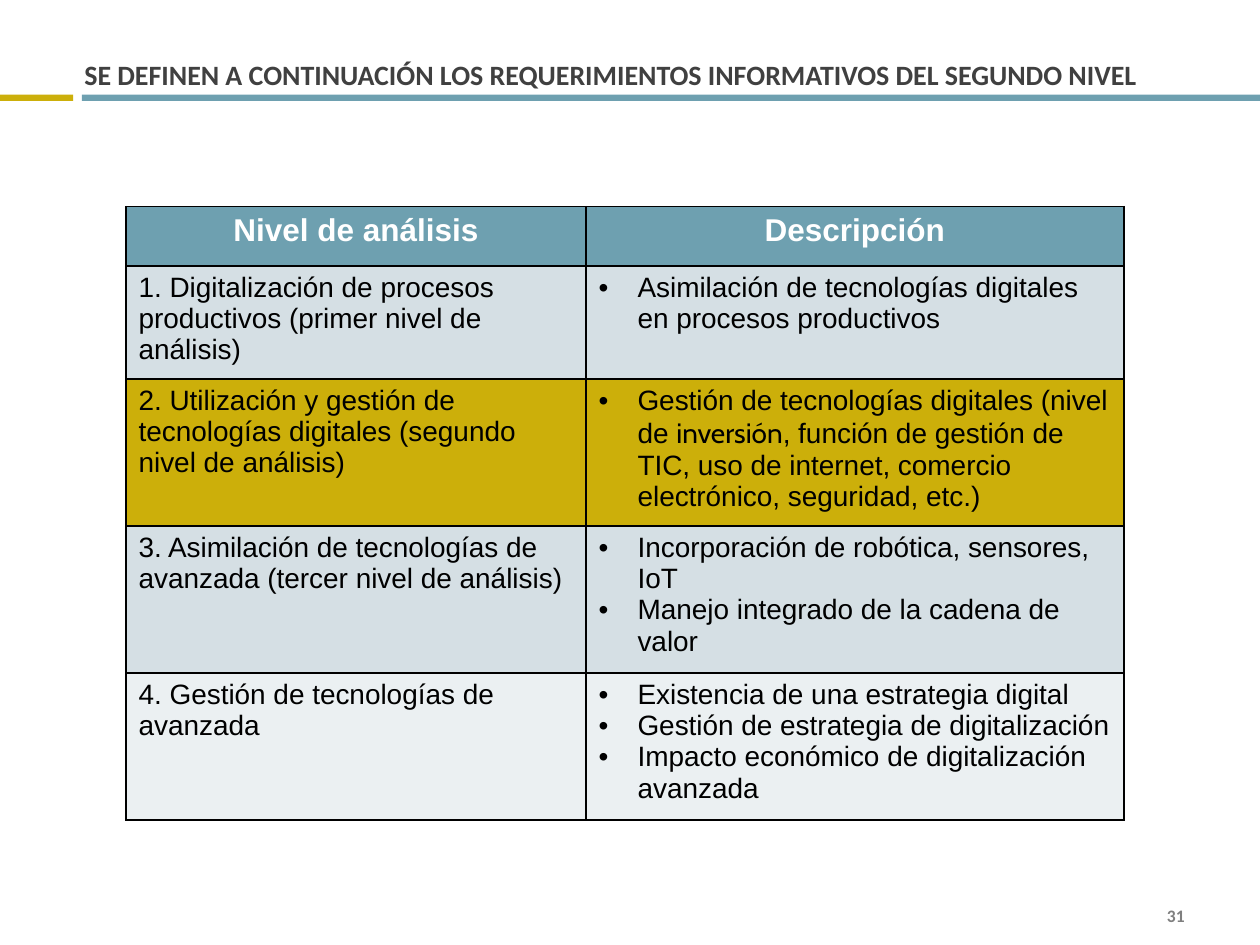
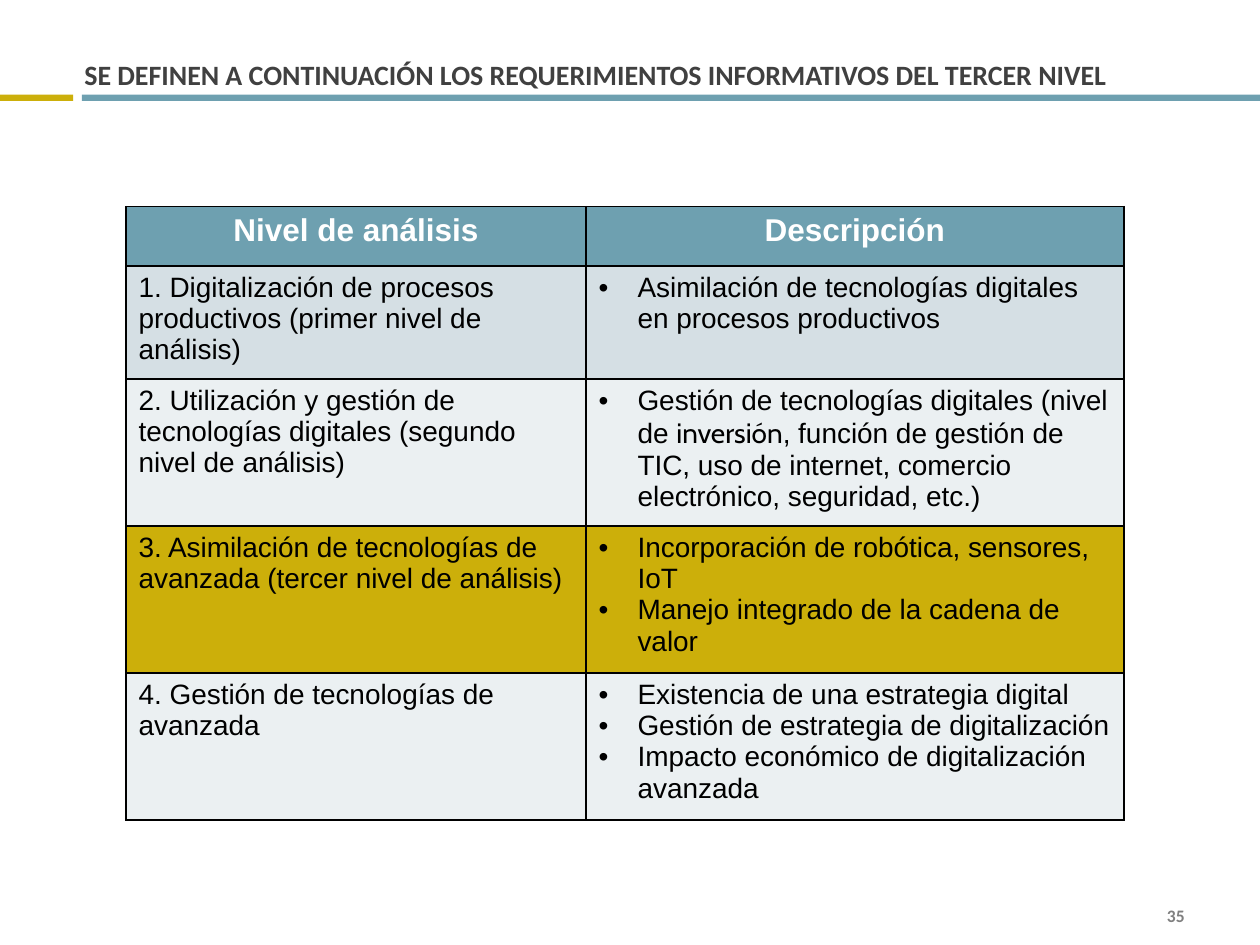
from lxml import etree
from pptx import Presentation
from pptx import util as u
from pptx.dml.color import RGBColor
from pptx.enum import shapes, text
from pptx.oxml import ns

GOLD = RGBColor(0xCC, 0xAF, 0x0A)
TEAL = RGBColor(0x6E, 0xA0, 0xB0)
MIST = RGBColor(0xD5, 0xDF, 0xE4)
PALE = RGBColor(0xEB, 0xF0, 0xF2)
DARK = RGBColor(0x40, 0x40, 0x40)
GREY = RGBColor(0x7F, 0x7F, 0x7F)
BLACK = RGBColor(0, 0, 0)
WHITE = RGBColor(0xFF, 0xFF, 0xFF)

deck = Presentation()
deck.slide_width, deck.slide_height = u.Inches(10), u.Inches(7.5)

# Grid of 100 columns by 75 rows
COL = deck.slide_width / 100
ROW = deck.slide_height / 75

# Text formats
TITLE = dict(name="Calibri", size=u.Pt(16), bold=True, color=DARK)
PAGE = dict(name="Calibri", size=u.Pt(10), bold=True, color=GREY)
HEAD = dict(name="Arial", size=u.Pt(18), bold=True, color=WHITE)
BODY = dict(name="Arial", size=u.Pt(16), bold=False, color=BLACK)
TERM = BODY | dict(name="Cabin")

# Frame formats
TOP = dict(word_wrap=True, vertical_anchor=text.MSO_ANCHOR.BOTTOM,
           margin_left=0, margin_right=0,
           margin_top=u.Inches(0.05), margin_bottom=u.Inches(0.03))
FOOT = dict(word_wrap=True, vertical_anchor=text.MSO_ANCHOR.MIDDLE)

# Shared content
BANDS = [(0, 5.8, GOLD), (6.5, 93.5, TEAL)]
WIDTHS = [36.5, 42.7]
HEIGHTS = [4.7, 8.1, 11.6, 11.5, 11.5]
HEADS = ["Nivel de análisis", "Descripción"]
WORD = "inversión"
LEVELS = [
    ("1. Digitalización de procesos productivos (primer nivel de análisis)",
     ["Asimilación de tecnologías digitales en procesos productivos"]),
    ("2. Utilización y gestión de tecnologías digitales (segundo nivel de análisis)",
     ["Gestión de tecnologías digitales (nivel de inversión, función de gestión de TIC, "
      "uso de internet, comercio electrónico, seguridad, etc.)"]),
    ("3. Asimilación de tecnologías de avanzada (tercer nivel de análisis)",
     ["Incorporación de robótica, sensores, IoT",
      "Manejo integrado de la cadena de valor"]),
    ("4. Gestión de tecnologías de avanzada",
     ["Existencia de una estrategia digital",
      "Gestión de estrategia de digitalización",
      "Impacto económico de digitalización avanzada"]),
]
SLIDES = [  # title ending, page number, highlighted level, row fills
    ("SEGUNDO", 31, 2, [TEAL, MIST, PALE, MIST, PALE]),
    ("TERCER", 35, 3, [TEAL, MIST, PALE, MIST, PALE]),
]


def place(x, y, w, h):
    return [round(v) for v in (x * COL, y * ROW, w * COL, h * ROW)]


def write(para, words, style):
    run = para.add_run()
    run.text = words
    for key, value in style.items():
        if key == "color":
            run.font.color.rgb = value
        else:
            setattr(run.font, key, value)


for level, page, mark, fills in SLIDES:
    slide = deck.slides.add_slide(deck.slide_layouts[6])

    # Bands under the title
    for x, w, color in BANDS:
        band = slide.shapes.add_shape(shapes.MSO_SHAPE.RECTANGLE, *place(x, 7.5, w, 0.5))
        band.shadow.inherit = False
        band.fill.solid()
        band.fill.fore_color.rgb = color
        band.line.fill.background()

    # Title and page number
    title = f"SE DEFINEN A CONTINUACIÓN LOS REQUERIMIENTOS INFORMATIVOS DEL {level} NIVEL"
    for spot, words, style, frame, align in [
        ((6.7, 0.8, 90, 6.7), title, TITLE, TOP, text.PP_ALIGN.LEFT),
        ((71.7, 71.7, 23.3, 2), str(page), PAGE, FOOT, text.PP_ALIGN.RIGHT),
    ]:
        box = slide.shapes.add_textbox(*place(*spot)).text_frame
        for key, value in frame.items():
            setattr(box, key, value)
        para = box.paragraphs[0]
        para.alignment = align
        if style is TITLE:
            para.line_spacing = u.Pt(18)
        write(para, words, style)

    # Table grid
    spot = place(10, 16.4, sum(WIDTHS), sum(HEIGHTS))
    grid = slide.shapes.add_table(len(HEIGHTS), len(WIDTHS), *spot).table
    for col, w in zip(grid.columns, WIDTHS):
        col.width = round(w * COL)
    for row, h in zip(grid.rows, HEIGHTS):
        row.height = round(h * ROW)

    # Table text
    for cell, words in zip(grid.rows[0].cells, HEADS):
        para = cell.text_frame.paragraphs[0]
        para.alignment = text.PP_ALIGN.CENTER
        write(para, words, HEAD)
    for r, (name, points) in enumerate(LEVELS, 1):
        write(grid.cell(r, 0).text_frame.paragraphs[0], name, BODY)
        frame = grid.cell(r, 1).text_frame
        for i, point in enumerate(points):
            para = frame.add_paragraph() if i else frame.paragraphs[0]
            props = para._p.get_or_add_pPr()
            props.set("marL", str(u.Inches(0.31)))
            props.set("indent", str(-u.Inches(0.31)))
            etree.SubElement(props, ns.qn("a:buFont"), typeface="Arial")
            etree.SubElement(props, ns.qn("a:buChar"), char="•")
            for part in point.partition(WORD):
                if part:
                    write(para, part, TERM if part == WORD else BODY)

    # Row fills and cell borders
    for r, row in enumerate(grid.rows):
        for cell in row.cells:
            cell.fill.solid()
            cell.fill.fore_color.rgb = GOLD if r == mark else fills[r]
            props = cell._tc.get_or_add_tcPr()
            for i, side in enumerate(["lnL", "lnR", "lnT", "lnB"]):
                line = etree.Element(ns.qn(f"a:{side}"), w=str(u.Pt(1)))
                paint = etree.SubElement(line, ns.qn("a:solidFill"))
                etree.SubElement(paint, ns.qn("a:srgbClr"), val=str(BLACK))
                props.insert(i, line)

deck.save("out.pptx")
